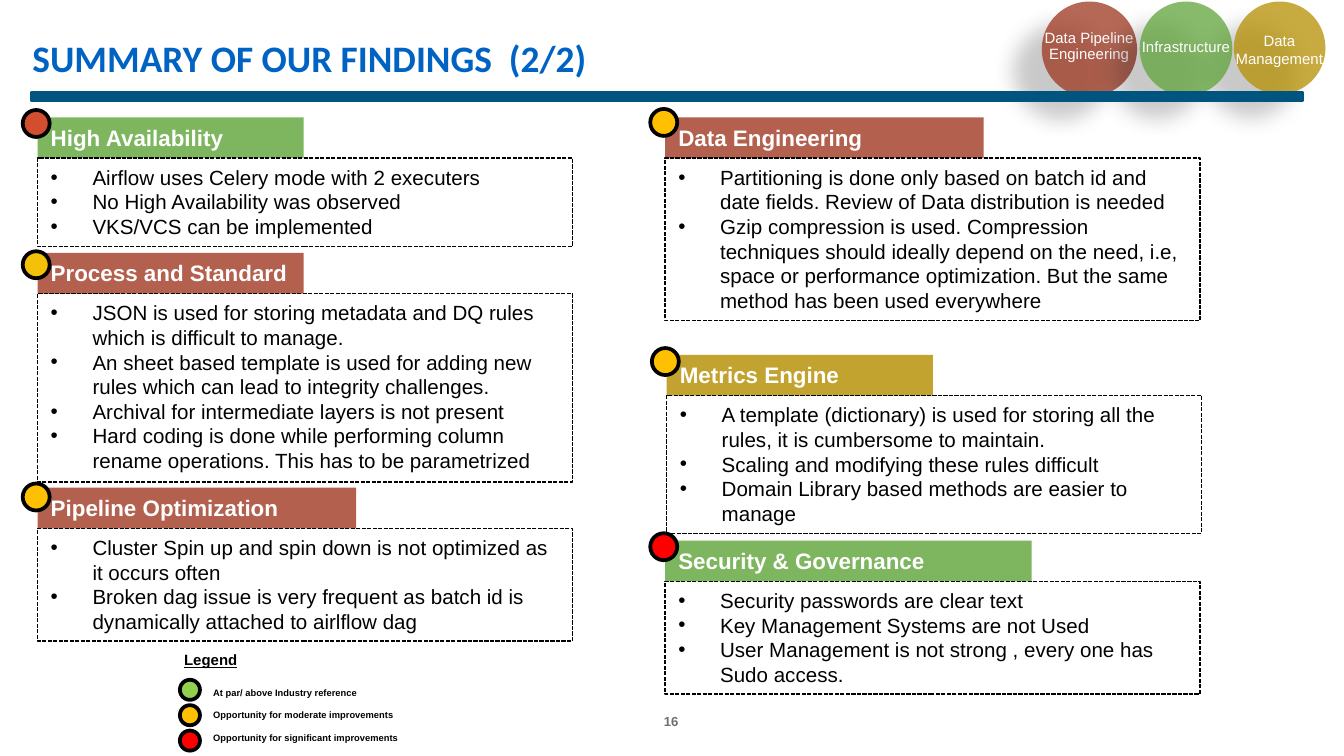
from dataclasses import dataclass

from lxml.etree import SubElement
from pptx import Presentation
from pptx.dml.color import RGBColor
from pptx.enum.dml import MSO_LINE
from pptx.enum.shapes import MSO_SHAPE as Preset
from pptx.enum.text import MSO_ANCHOR as Anchor, MSO_AUTO_SIZE as AutoSize, PP_ALIGN as Align
from pptx.oxml.ns import qn
from pptx.util import Cm, Pt


@dataclass(frozen=True)
class Theme:
    heading_font: str = "Calibri"
    body_font: str = "Arial"
    title: str = "0063C3"
    rule: str = "005480"
    infrastructure: str = "62A53C"
    pipeline: str = "A03922"
    management: str = "B69106"
    good: str = "92D050"
    moderate: str = "FFC000"
    moderate_dark: str = "F3C108"
    severe: str = "FF0000"
    severe_dark: str = "D34D2F"
    black: str = "000000"
    white: str = "FFFFFF"
    grey: str = "716F73"
    title_size: float = 20
    header_size: float = 12
    body_size: float = 11
    label_size: float = 8
    number_size: float = 7
    legend_size: float = 5


class FindingsSlide:
    HEADER_HEIGHT = 0.77
    BODY_WIDTH = 10.11
    DOT_OFFSET = 0.28

    def __init__(self, slide, theme):
        self.slide = slide
        self.theme = theme

    def style(self, paragraph, size, color, bold=False, font=None):
        paragraph.font.name = font or self.theme.body_font
        paragraph.font.size = Pt(size)
        paragraph.font.bold = bold
        paragraph.font.color.rgb = RGBColor.from_string(color)

    def title(self, words, box):
        heading = self.slide.shapes.title
        heading.left, heading.top, heading.width, heading.height = map(Cm, box)
        frame = heading.text_frame
        frame.text = words
        frame.auto_size = AutoSize.NONE
        frame.vertical_anchor = Anchor.TOP
        frame.paragraphs[0].alignment = Align.LEFT
        self.style(frame.paragraphs[0], self.theme.title_size, self.theme.title,
                   True, self.theme.heading_font)

    def shape(self, preset, box, fill=None, line=None, weight=2, opacity=100):
        shape = self.slide.shapes.add_shape(preset, *map(Cm, box))
        shape.shadow.inherit = False
        if fill:
            shape.fill.solid()
            shape.fill.fore_color.rgb = RGBColor.from_string(fill)
            if opacity < 100:
                color = shape.element.spPr.find(f"{qn('a:solidFill')}/{qn('a:srgbClr')}")
                SubElement(color, qn("a:alpha"), val=str(opacity * 1000))
        else:
            shape.fill.background()
        if line:
            shape.line.color.rgb = RGBColor.from_string(line)
            shape.line.width = Pt(weight)
        else:
            shape.line.fill.background()
        return shape

    def text(self, words, box, size, color, bold=False, align=Align.LEFT,
             anchor=Anchor.TOP, inset=None, spacing=None, wrap=True, underline=None):
        frame = self.slide.shapes.add_textbox(*map(Cm, box)).text_frame
        frame.text = words
        frame.word_wrap = wrap
        frame.vertical_anchor = anchor
        if inset is not None:
            frame.margin_left = frame.margin_right = Cm(inset)
            frame.margin_top = frame.margin_bottom = Cm(inset)
        paragraph = frame.paragraphs[0]
        paragraph.alignment = align
        paragraph.line_spacing = spacing
        self.style(paragraph, size, color, bold)
        paragraph.font.underline = underline

    def dot(self, left, top, diameter, color):
        self.shape(Preset.OVAL, (left, top, diameter, diameter), color, self.theme.black)

    def bullets(self, frame, items):
        frame.vertical_anchor = Anchor.TOP
        for index, item in enumerate(items):
            paragraph = frame.paragraphs[0] if index == 0 else frame.add_paragraph()
            paragraph.text = item
            paragraph.alignment = Align.LEFT
            properties = paragraph._p.get_or_add_pPr()
            properties.set("marL", str(Cm(0.79)))
            properties.set("indent", str(-Cm(0.79)))
            SubElement(properties, qn("a:buFont"), typeface=self.theme.body_font)
            SubElement(properties, qn("a:buChar"), char="•")
            self.style(paragraph, self.theme.body_size, self.theme.black)

    def panel(self, heading, left, top, header_width, body_height, dot_top,
              area, opacity, status, items):
        header = self.shape(Preset.RECTANGLE, (left, top, header_width, self.HEADER_HEIGHT),
                            area, opacity=opacity)
        frame = header.text_frame
        frame.text = heading
        frame.vertical_anchor = Anchor.TOP
        frame.paragraphs[0].alignment = Align.LEFT
        self.style(frame.paragraphs[0], self.theme.header_size, self.theme.white, True)
        body = self.shape(Preset.RECTANGLE,
                          (left, top + self.HEADER_HEIGHT, self.BODY_WIDTH, body_height),
                          line=self.theme.black, weight=0.75)
        body.line.dash_style = MSO_LINE.SQUARE_DOT
        self.bullets(body.text_frame, items)
        self.dot(left - self.DOT_OFFSET, dot_top, 0.51, status)

    def area_circle(self, box, color):
        circle = self.shape(Preset.OVAL, box, color, opacity=76)
        effects = circle.element.spPr.find(qn("a:effectLst"))
        shadow = SubElement(effects, qn("a:outerShdw"), blurRad=str(Pt(11.8)),
                            dist=str(Pt(19.7)), dir=str(141 * 60000), rotWithShape="0")
        color = SubElement(shadow, qn("a:srgbClr"), val=self.theme.black)
        SubElement(color, qn("a:alpha"), val="28000")

    def area_label(self, words, box, inset, spacing):
        self.text(words, box, self.theme.label_size, self.theme.white, align=Align.CENTER,
                  anchor=Anchor.MIDDLE, inset=inset, spacing=spacing)


def main():
    deck = Presentation()
    deck.slide_width, deck.slide_height = Cm(25.4), Cm(14.29)
    theme = Theme()
    findings = FindingsSlide(deck.slides.add_slide(deck.slide_layouts[5]), theme)
    findings.title("SUMMARY OF OUR FINDINGS  (2/2)", (0.36, 0.53, 23.37, 1.12))

    left, right = 0.71, 12.57
    panels = [
        ("High Availability", left, 2.22, 5.03, 1.67, 2.08,
         theme.infrastructure, 82, theme.severe_dark,
         ["Airflow uses Celery mode with 2 executers",
          "No High Availability was observed",
          "VKS/VCS can be implemented"]),
        ("Process and Standard", left, 4.78, 5.03, 3.56, 4.75,
         theme.pipeline, 80, theme.moderate_dark,
         ["JSON is used for storing metadata and DQ rules which is difficult to manage.",
          "An sheet based template is used for adding new rules which can lead to "
          "integrity challenges.",
          "Archival for intermediate layers is not present",
          "Hard coding is done while performing column rename operations. "
          "This has to be parametrized"]),
        ("Pipeline Optimization", left, 9.22, 6.02, 2.13, 9.14,
         theme.pipeline, 80, theme.moderate,
         ["Cluster Spin up and spin down is not optimized as it occurs often",
          "Broken dag issue is very frequent as batch id is dynamically attached "
          "to airlflow dag"]),
        ("Data Engineering", right, 2.22, 6.02, 3.07, 2.06,
         theme.pipeline, 80, theme.moderate,
         ["Partitioning is done only based on batch id and date fields. "
          "Review of Data distribution is needed",
          "Gzip compression is used. Compression techniques should ideally depend on "
          "the need, i.e, space or performance optimization. But the same method has "
          "been used everywhere"]),
        ("Metrics Engine", right + 0.03, 6.71, 5.03, 2.61, 6.58,
         theme.management, 83, theme.moderate,
         ["A template (dictionary) is used for storing all the rules, "
          "it is cumbersome to maintain.",
          "Scaling and modifying these rules difficult",
          "Domain Library based methods are easier to manage"]),
        ("Security & Governance", right, 10.22, 6.93, 2.13, 10.08,
         theme.infrastructure, 82, theme.severe,
         ["Security passwords are clear text",
          "Key Management Systems are not Used",
          "User Management is not strong , every one has Sudo access."]),
    ]
    for panel in panels:
        findings.panel(*panel)

    areas = [
        ("Data Management", (23.32, 0.03, 1.73, 1.75), theme.management,
         (23.09, 0.46, 2.18, 0.94), 0.25, 1),
        ("Data Pipeline Engineering", (19.69, 0.03, 1.8, 1.8), theme.pipeline,
         (19.71, 0.23, 1.75, 1.32), 0.03, 0.9),
        ("Infrastructure", (21.54, 0.03, 1.75, 1.78), theme.infrastructure,
         (21.54, 0.25, 1.75, 1.3), 0.03, 0.9),
    ]
    for area, circle, color, label, inset, spacing in areas:
        findings.area_circle(circle, color)
        findings.area_label(area, label, inset, spacing)

    findings.text("Legend", (3.23, 12.17, 1.52, 0.61), theme.label_size, theme.black,
                  bold=True, wrap=False, underline=True)
    legend = [
        ("At par/ above Industry reference", theme.good),
        ("Opportunity for moderate improvements", theme.moderate),
        ("Opportunity for significant improvements", theme.severe),
    ]
    for row, (meaning, color) in enumerate(legend):
        findings.dot(3.4, 12.85 + 0.48 * row, 0.38, color)
        findings.text(meaning, (3.78, 12.87 + 0.42 * row, 7, 0.48),
                      theme.legend_size, theme.black, bold=True)

    findings.shape(Preset.RECTANGLE, (0.61, 1.75, 24, 0.15), theme.rule, theme.rule)
    findings.text("16", (11.53, 13.03, 2.31, 0.76), theme.number_size, theme.grey,
                  bold=True, align=Align.CENTER, anchor=Anchor.BOTTOM, inset=0)
    deck.save("out.pptx")


if __name__ == "__main__":
    main()
